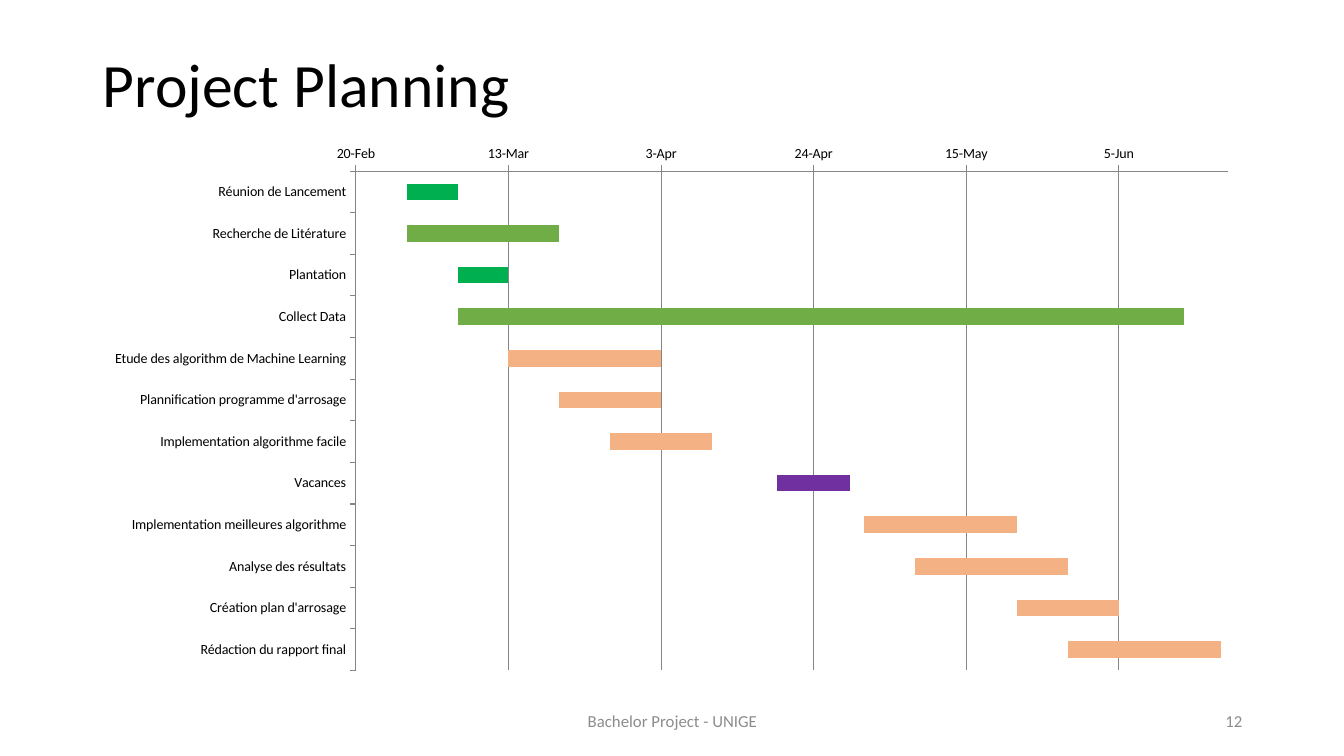
from dataclasses import dataclass

from lxml.etree import SubElement
from pptx import Presentation
from pptx.chart.data import CategoryChartData
from pptx.dml.color import RGBColor
from pptx.enum.chart import XL_CHART_TYPE, XL_TICK_MARK
from pptx.enum.text import MSO_ANCHOR, MSO_AUTO_SIZE, PP_ALIGN
from pptx.oxml.ns import qn
from pptx.util import Inches, Pt


@dataclass(frozen=True)
class Theme:
    """Colours, font and type sizes of the slide."""
    font: str = "Calibri"
    text: RGBColor = RGBColor.from_string("000000")
    muted: RGBColor = RGBColor.from_string("8C8C8C")
    axis: RGBColor = RGBColor.from_string("868686")
    milestone: RGBColor = RGBColor.from_string("00B050")
    field: RGBColor = RGBColor.from_string("70AD47")
    study: RGBColor = RGBColor.from_string("F4B183")
    holiday: RGBColor = RGBColor.from_string("7030A0")
    title_size: Pt = Pt(44)
    footer_size: Pt = Pt(12)
    chart_size: Pt = Pt(10)


THEME = Theme()
SLIDE_WIDTH, SLIDE_HEIGHT = 13.33, 7.5
MARGIN, CONTENT_WIDTH = 0.92, 11.5
FOOTER_TOP, FOOTER_HEIGHT = 6.95, 0.4
AXIS_START, AXIS_END, THREE_WEEKS = 43516, 43636, 21
PLOT_SHARES = {"x": 0.227, "y": 0.068, "w": 0.752, "h": 0.914}
TASKS = [
    ("Réunion de Lancement", 7, 7, THEME.milestone),
    ("Recherche de Litérature", 7, 21, THEME.field),
    ("Plantation", 14, 7, THEME.milestone),
    ("Collect Data", 14, 100, THEME.field),
    ("Etude des algorithm de Machine Learning", 21, 21, THEME.study),
    ("Plannification programme d'arrosage", 28, 14, THEME.study),
    ("Implementation algorithme facile", 35, 14, THEME.study),
    ("Vacances", 58, 10, THEME.holiday),
    ("Implementation meilleures algorithme", 70, 21, THEME.study),
    ("Analyse des résultats", 77, 21, THEME.study),
    ("Création plan d'arrosage", 91, 14, THEME.study),
    ("Rédaction du rapport final", 98, 21, THEME.study),
]


def apply(target, values):
    """Set each attribute of the target from a dict."""
    for name, value in values.items():
        setattr(target, name, value)


def set_font(font, size, color):
    """Give a font the theme face, a size and a colour."""
    apply(font, {"name": THEME.font, "size": size})
    font.color.rgb = color


def write_text(shape, text, size, color, alignment):
    """Put one formatted paragraph in the middle of a shape."""
    frame = shape.text_frame
    apply(frame, {"text": text, "word_wrap": True, "auto_size": MSO_AUTO_SIZE.NONE,
                  "vertical_anchor": MSO_ANCHOR.MIDDLE})
    paragraph = frame.paragraphs[0]
    paragraph.alignment = alignment
    set_font(paragraph.runs[0].font, size, color)
    return paragraph


def add_title(slide, box, text):
    """Move and fill the title placeholder."""
    title = slide.shapes.title
    apply(title, dict(zip(("left", "top", "width", "height"), map(Inches, box))))
    paragraph = write_text(title, text, THEME.title_size, THEME.text, PP_ALIGN.LEFT)
    paragraph.line_spacing = 0.9


def add_footer(slide, box, text, alignment):
    """Add one footer text."""
    shape = slide.shapes.add_textbox(*map(Inches, box))
    write_text(shape, text, THEME.footer_size, THEME.muted, alignment)


def place_plot(chart):
    """Fix the inner plot area at shares of the chart box."""
    plot_area = chart._chartSpace.chart.plotArea
    for layout in plot_area.findall(qn("c:layout")):
        plot_area.remove(layout)
    layout = SubElement(plot_area, qn("c:layout"))
    plot_area.insert(0, layout)
    manual = SubElement(layout, qn("c:manualLayout"))
    settings = {"layoutTarget": "inner", "xMode": "edge", "yMode": "edge", **PLOT_SHARES}
    for name, value in settings.items():
        SubElement(manual, qn(f"c:{name}")).set("val", str(value))


def format_line(line):
    """Draw a thin axis or grid line."""
    line.color.rgb = THEME.axis
    line.width = Pt(0.75)


def format_axes(chart):
    """Set the reversed task axis and the dated value axis."""
    for axis in (chart.category_axis, chart.value_axis):
        apply(axis, {"major_tick_mark": XL_TICK_MARK.OUTSIDE,
                     "minor_tick_mark": XL_TICK_MARK.NONE})
        format_line(axis.format.line)
    apply(chart.category_axis, {"reverse_order": True, "has_major_gridlines": False})
    dates = chart.value_axis
    apply(dates, {"minimum_scale": AXIS_START, "maximum_scale": AXIS_END,
                  "major_unit": THREE_WEEKS, "has_major_gridlines": True})
    format_line(dates.major_gridlines.format.line)
    apply(dates.tick_labels, {"number_format": r"[$-409]d\-mmm;@",
                              "number_format_is_linked": False})


def add_gantt(slide, box):
    """Add the schedule as stacked bars on hidden start offsets."""
    names, offsets, durations, colors = zip(*TASKS)
    data = CategoryChartData()
    data.categories = names
    data.add_series("Series 1", [AXIS_START + offset for offset in offsets])
    data.add_series("Series 2", durations)
    chart = slide.shapes.add_chart(
        XL_CHART_TYPE.BAR_STACKED, *map(Inches, box), data).chart
    apply(chart, {"has_legend": False, "has_title": False})
    set_font(chart.font, THEME.chart_size, THEME.text)
    plot = chart.plots[0]
    apply(plot, {"gap_width": 150, "overlap": 100, "vary_by_categories": False})
    starts, bars = plot.series
    starts.format.fill.background()
    bars.format.fill.solid()
    bars.format.fill.fore_color.rgb = THEME.study
    for index, color in enumerate(colors):
        if color != THEME.study:
            fill = bars.points[index].format.fill
            fill.solid()
            fill.fore_color.rgb = color
    format_axes(chart)
    place_plot(chart)


def main():
    """Build the planning slide and save it."""
    presentation = Presentation()
    apply(presentation, {"slide_width": Inches(SLIDE_WIDTH),
                         "slide_height": Inches(SLIDE_HEIGHT)})
    slide = presentation.slides.add_slide(presentation.slide_layouts[5])
    add_title(slide, (MARGIN, 0.4, CONTENT_WIDTH, 0.93), "Project Planning")
    add_gantt(slide, (MARGIN, 1.33, CONTENT_WIDTH, 5.42))
    add_footer(slide, (4.42, FOOTER_TOP, 4.5, FOOTER_HEIGHT),
               "Bachelor Project - UNIGE", PP_ALIGN.CENTER)
    add_footer(slide, (9.42, FOOTER_TOP, 3, FOOTER_HEIGHT), "12", PP_ALIGN.RIGHT)
    presentation.save("out.pptx")


if __name__ == "__main__":
    main()
